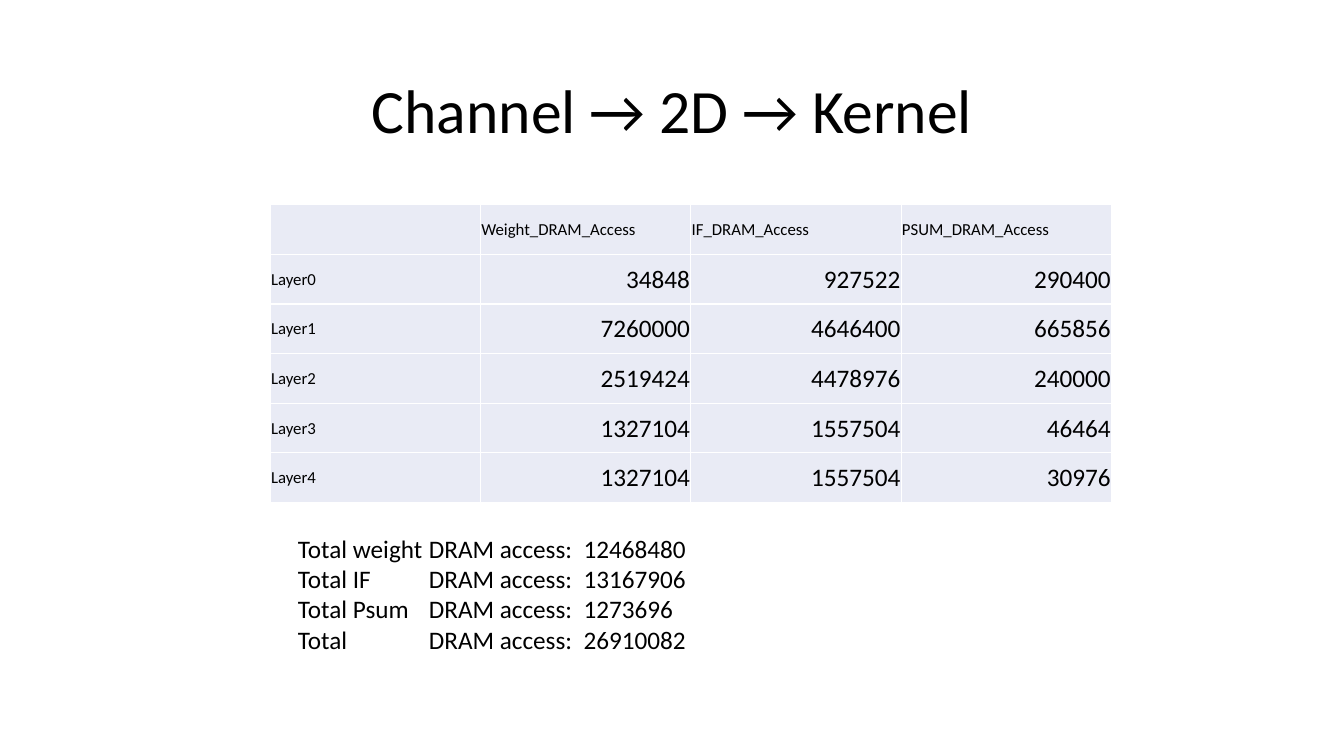
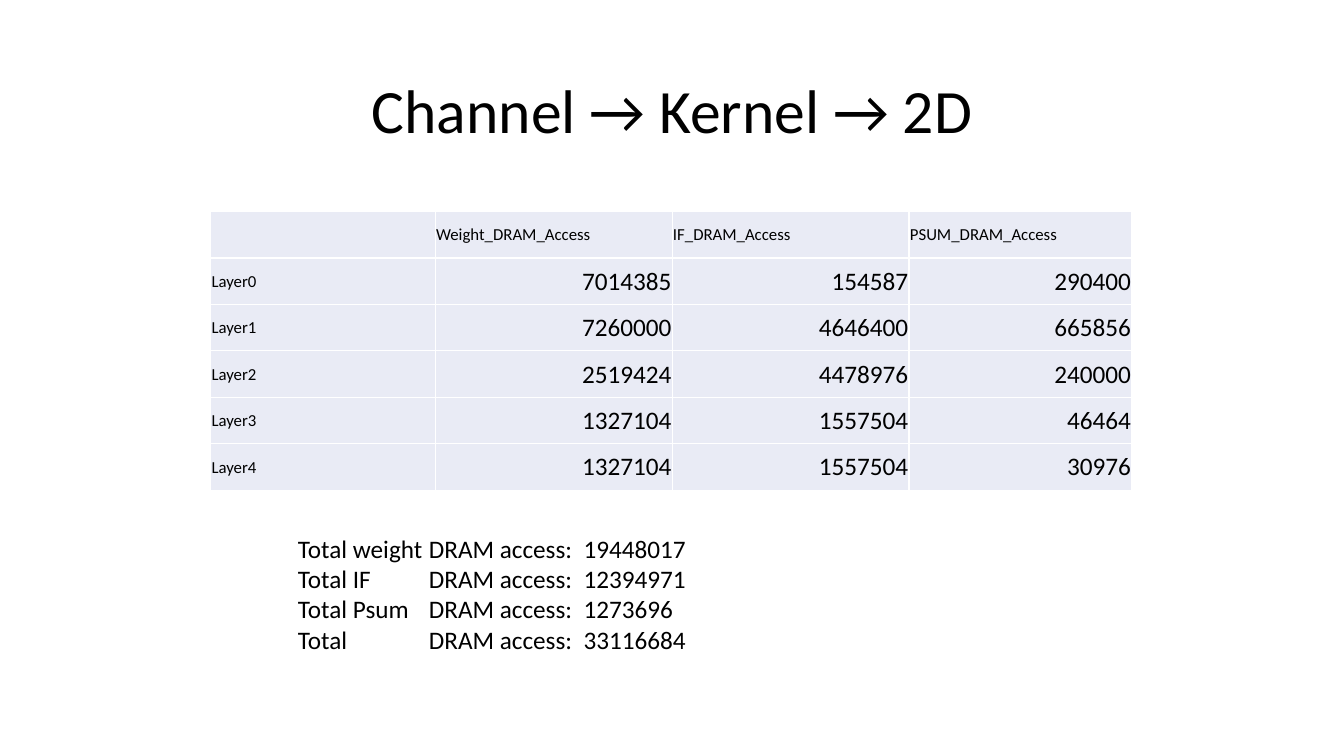
from dataclasses import dataclass

from lxml.etree import SubElement
from pptx import Presentation
from pptx.dml.color import RGBColor
from pptx.enum.text import MSO_ANCHOR as Anchor, MSO_AUTO_SIZE as AutoSize, PP_ALIGN as Align
from pptx.oxml.ns import qn
from pptx.slide import Slide
from pptx.table import _Cell as Cell
from pptx.text.text import TextFrame, _Paragraph as Paragraph
from pptx.util import Cm, Pt

BLACK = RGBColor(0x00, 0x00, 0x00)
WHITE = RGBColor(0xFF, 0xFF, 0xFF)
CELL_FILL = RGBColor(0xE9, 0xEB, 0xF5)
FONT = "Calibri"
TITLE_SIZE, BODY_SIZE, LABEL_SIZE = 44, 18, 12
CELL_INSET = Cm(0.02)
TOTAL_TABS = (Cm(3.3), Cm(7.2))

HEADINGS = ("", "Weight_DRAM_Access", "IF_DRAM_Access", "PSUM_DRAM_Access")
TOTAL_NAMES = ("Total weight", "Total IF", "Total Psum", "Total")
LATER_LAYERS = (
    (7260000, 4646400, 665856),
    (2519424, 4478976, 240000),
    (1327104, 1557504, 46464),
    (1327104, 1557504, 30976),
)


@dataclass(frozen=True)
class AccessTable:
    left: float
    top: float
    column_widths: tuple[float, ...]
    row_height: float


@dataclass(frozen=True)
class LoopOrder:
    title: str
    first_layer: tuple[int, int, int]
    table: AccessTable

    @property
    def layers(self) -> tuple[tuple[int, ...], ...]:
        return (self.first_layer, *LATER_LAYERS)

    @property
    def totals(self) -> list[int]:
        sums = [sum(column) for column in zip(*self.layers)]
        return [*sums, sum(sums)]


LOOP_ORDERS = (
    LoopOrder(
        "Channel → 2D → Kernel",
        (34848, 927522, 290400),
        AccessTable(6.81, 5.16, (5.3, 5.3, 5.3, 5.3), 1.25),
    ),
    LoopOrder(
        "Channel → Kernel → 2D",
        (7014385, 154587, 290400),
        AccessTable(5.31, 5.33, (5.66, 5.97, 5.97, 5.61), 1.17),
    ),
)


def add_run(paragraph: Paragraph, text: str, size: int) -> None:
    run = paragraph.add_run()
    run.text = text
    run.font.name = FONT
    run.font.size = Pt(size)
    run.font.color.rgb = BLACK


def add_text_box(slide: Slide, left: float, top: float, width: float, height: float) -> TextFrame:
    frame = slide.shapes.add_textbox(Cm(left), Cm(top), Cm(width), Cm(height)).text_frame
    frame.word_wrap = True
    return frame


def add_title(slide: Slide, title: str) -> None:
    frame = add_text_box(slide, 2.34, 1.02, 29.21, 3.68)
    frame.vertical_anchor = Anchor.MIDDLE
    paragraph = frame.paragraphs[0]
    paragraph.alignment = Align.CENTER
    paragraph.line_spacing = 0.9
    add_run(paragraph, title, TITLE_SIZE)


def style_cell(cell: Cell) -> None:
    properties = cell._tc.get_or_add_tcPr()
    for side in ("a:lnL", "a:lnR", "a:lnT", "a:lnB"):
        border = SubElement(properties, qn(side), w=str(Pt(1)))
        fill = SubElement(border, qn("a:solidFill"))
        SubElement(fill, qn("a:srgbClr"), val=str(WHITE))
    cell.fill.solid()
    cell.fill.fore_color.rgb = CELL_FILL
    cell.vertical_anchor = Anchor.MIDDLE
    cell.margin_left = cell.margin_right = cell.margin_top = CELL_INSET
    cell.margin_bottom = 0


def add_access_table(slide: Slide, order: LoopOrder) -> None:
    layout = order.table
    rows = [HEADINGS]
    rows += [(f"Layer{index}", *values) for index, values in enumerate(order.layers)]
    table = slide.shapes.add_table(
        len(rows), len(HEADINGS), Cm(layout.left), Cm(layout.top),
        Cm(sum(layout.column_widths)), Cm(layout.row_height * len(rows)),
    ).table
    table.first_row = table.horz_banding = False
    for column, width in zip(table.columns, layout.column_widths):
        column.width = Cm(width)
    for row, values in zip(table.rows, rows):
        row.height = Cm(layout.row_height)
        for cell, value in zip(row.cells, values):
            style_cell(cell)
            paragraph = cell.text_frame.paragraphs[0]
            is_number = isinstance(value, int)
            paragraph.alignment = Align.RIGHT if is_number else Align.LEFT
            if value != "":
                add_run(paragraph, str(value), BODY_SIZE if is_number else LABEL_SIZE)


def add_totals(slide: Slide, totals: list[int]) -> None:
    frame = add_text_box(slide, 7.26, 13.31, 17.5, 3.33)
    frame.auto_size = AutoSize.SHAPE_TO_FIT_TEXT
    for index, (name, total) in enumerate(zip(TOTAL_NAMES, totals)):
        paragraph = frame.add_paragraph() if index else frame.paragraphs[0]
        tab_list = SubElement(paragraph._p.get_or_add_pPr(), qn("a:tabLst"))
        for position in TOTAL_TABS:
            SubElement(tab_list, qn("a:tab"), pos=str(position), algn="l")
        add_run(paragraph, f"{name}\tDRAM access:\t{total}", BODY_SIZE)


def main() -> None:
    presentation = Presentation()
    presentation.slide_width = Cm(33.87)
    presentation.slide_height = Cm(19.05)
    blank_layout = presentation.slide_layouts[6]
    for order in LOOP_ORDERS:
        slide = presentation.slides.add_slide(blank_layout)
        add_title(slide, order.title)
        add_access_table(slide, order)
        add_totals(slide, order.totals)
    presentation.save("out.pptx")


if __name__ == "__main__":
    main()
